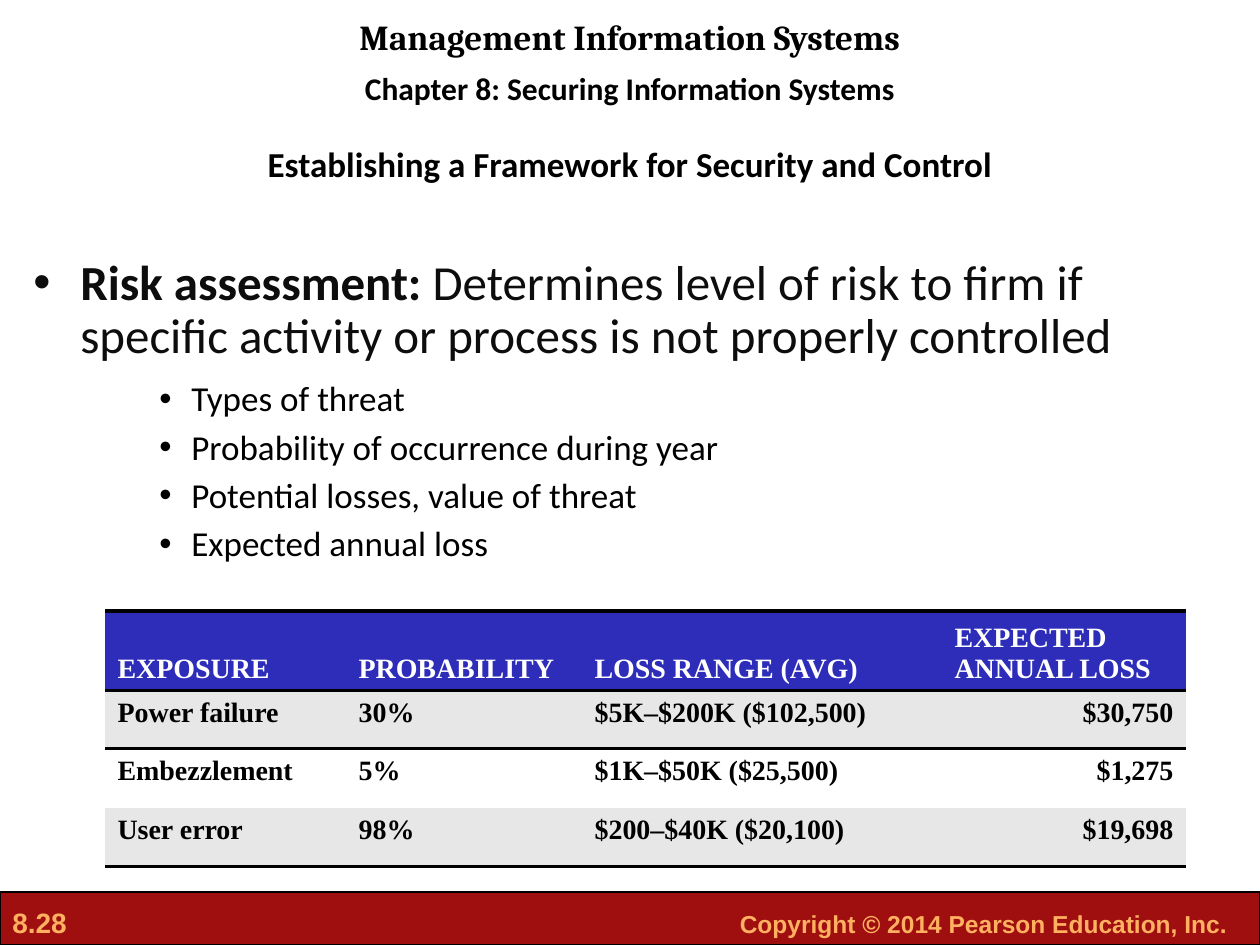
from lxml import etree
from pptx import Presentation
from pptx import util as u
from pptx.dml.color import RGBColor
from pptx.enum import shapes, text
from pptx.oxml.ns import qn

SCALE = 914400 / 126
COLORS = {
    "black": "000000", "body": "0D0D0D", "white": "FFFFFF", "band": "E7E7E7",
    "header": "2D2DB9", "footer": "9F0F10", "footer_text": "FFB060",
}
LEFT, CENTER, RIGHT = text.PP_ALIGN.LEFT, text.PP_ALIGN.CENTER, text.PP_ALIGN.RIGHT


def px(*lengths):
    return [u.Emu(round(length * SCALE)) for length in lengths]


def style(font, name, size, color, bold=True):
    font.name, font.size, font.bold = name, u.Pt(size), bold
    font.color.rgb = RGBColor.from_string(COLORS[color])


presentation = Presentation()
presentation.slide_width, presentation.slide_height = px(1260, 945)
slide = presentation.slides.add_slide(presentation.slide_layouts[6])

# Footer band
footer = slide.shapes.add_shape(shapes.MSO_SHAPE.RECTANGLE, *px(0, 892, 1260, 53))
footer.shadow.inherit = False
footer.fill.solid()
footer.fill.fore_color.rgb = RGBColor.from_string(COLORS["footer"])
footer.line.color.rgb = RGBColor.from_string(COLORS["black"])
footer.line.width = u.Pt(0.75)

# Headings and footer texts
labels = [
    ("8.28", (0, 899, 96, 46), LEFT, "Arial", 16, "footer_text"),
    ("Copyright © 2014 Pearson Education, Inc.", (431, 903, 809, 42), RIGHT, "Arial", 14, "footer_text"),
    ("Management Information Systems", (0, 0, 1260, 72), CENTER, "Cambria", 20, "black"),
    ("Chapter 8: Securing Information Systems", (0, 63, 1260, 42), CENTER, "Calibri", 18, "black"),
    ("Establishing a Framework for Security and Control", (0, 136, 1260, 53), CENTER, "Calibri", 20, "black"),
]
for wording, place, alignment, font_name, size, color in labels:
    frame = slide.shapes.add_textbox(*px(*place)).text_frame
    frame.word_wrap = True
    if font_name == "Cambria":
        frame.vertical_anchor = text.MSO_ANCHOR.MIDDLE
    frame.text = wording
    frame.paragraphs[0].alignment = alignment
    style(frame.paragraphs[0].runs[0].font, font_name, size, color)

# Bulleted body: level, left margin, hanging indent, space before, size, color, runs
bullets = [
    (0, 47, 47, 0, 28, "body", [
        ("Risk assessment: ", True),
        ("Determines level of risk to firm if specific activity or process is not properly controlled", False),
    ]),
    (2, 158, 32, 10, 20, "black", [("Types of threat", False)]),
]
for wording in ("Probability of occurrence during year",
                "Potential losses, value of threat", "Expected annual loss"):
    bullets.append((2, 158, 32, 6, 20, "black", [(wording, False)]))

body = slide.shapes.add_textbox(*px(21, 252, 1218, 620)).text_frame
body.word_wrap = True
for index, (level, margin, hanging, before, size, color, runs) in enumerate(bullets):
    paragraph = body.add_paragraph() if index else body.paragraphs[0]
    properties = paragraph._p.get_or_add_pPr()
    properties.set("marL", str(px(margin)[0]))
    properties.set("indent", str(px(-hanging)[0]))
    bullet_color = etree.SubElement(properties, qn("a:buClr"))
    etree.SubElement(bullet_color, qn("a:srgbClr"), val=COLORS[color])
    etree.SubElement(properties, qn("a:buFont"), typeface="Arial")
    etree.SubElement(properties, qn("a:buChar"), char="•")
    paragraph.level = level
    paragraph.line_spacing = 0.9
    paragraph.space_before = u.Pt(before)
    for wording, bold in runs:
        run = paragraph.add_run()
        run.text = wording
        style(run.font, "Calibri", size, color, bold)

# Risk table
rows = [
    ("EXPOSURE", "PROBABILITY", "LOSS RANGE (AVG)", "EXPECTED ANNUAL LOSS"),
    ("Power failure", "30%", "$5K–$200K ($102,500)", "$30,750"),
    ("Embezzlement", "5%", "$1K–$50K ($25,500)", "$1,275"),
    ("User error", "98%", "$200–$40K ($20,100)", "$19,698"),
]
widths, heights = (241, 236, 360, 244), (80, 58, 59, 59)
fills = ("header", "band", "white", "band")
ruled_edges = {0, 1, 2, 4}

table = slide.shapes.add_table(
    len(rows), len(widths), *px(105, 611, sum(widths), sum(heights))).table
for column, width in zip(table.columns, px(*widths)):
    column.width = width
for row, height in zip(table.rows, px(*heights)):
    row.height = height

for row_index, row in enumerate(rows):
    is_header = row_index == 0
    for column_index, wording in enumerate(row):
        cell = table.cell(row_index, column_index)
        cell.fill.solid()
        cell.fill.fore_color.rgb = RGBColor.from_string(COLORS[fills[row_index]])
        cell.vertical_anchor = text.MSO_ANCHOR.BOTTOM if is_header else text.MSO_ANCHOR.TOP
        cell.text_frame.text = wording
        paragraph = cell.text_frame.paragraphs[0]
        paragraph.alignment = RIGHT if column_index == 3 and not is_header else LEFT
        style(paragraph.runs[0].font, "Times New Roman", 16, "white" if is_header else "black")
        ruled = {"lnL": False, "lnR": False,
                 "lnT": row_index in ruled_edges, "lnB": row_index + 1 in ruled_edges}
        for position, (side, visible) in enumerate(ruled.items()):
            border = etree.Element(qn(f"a:{side}"), w=str(u.Pt(2)))
            if visible:
                paint = etree.SubElement(border, qn("a:solidFill"))
                etree.SubElement(paint, qn("a:srgbClr"), val=COLORS["black"])
            else:
                etree.SubElement(border, qn("a:noFill"))
            cell._tc.get_or_add_tcPr().insert(position, border)

presentation.save("out.pptx")
